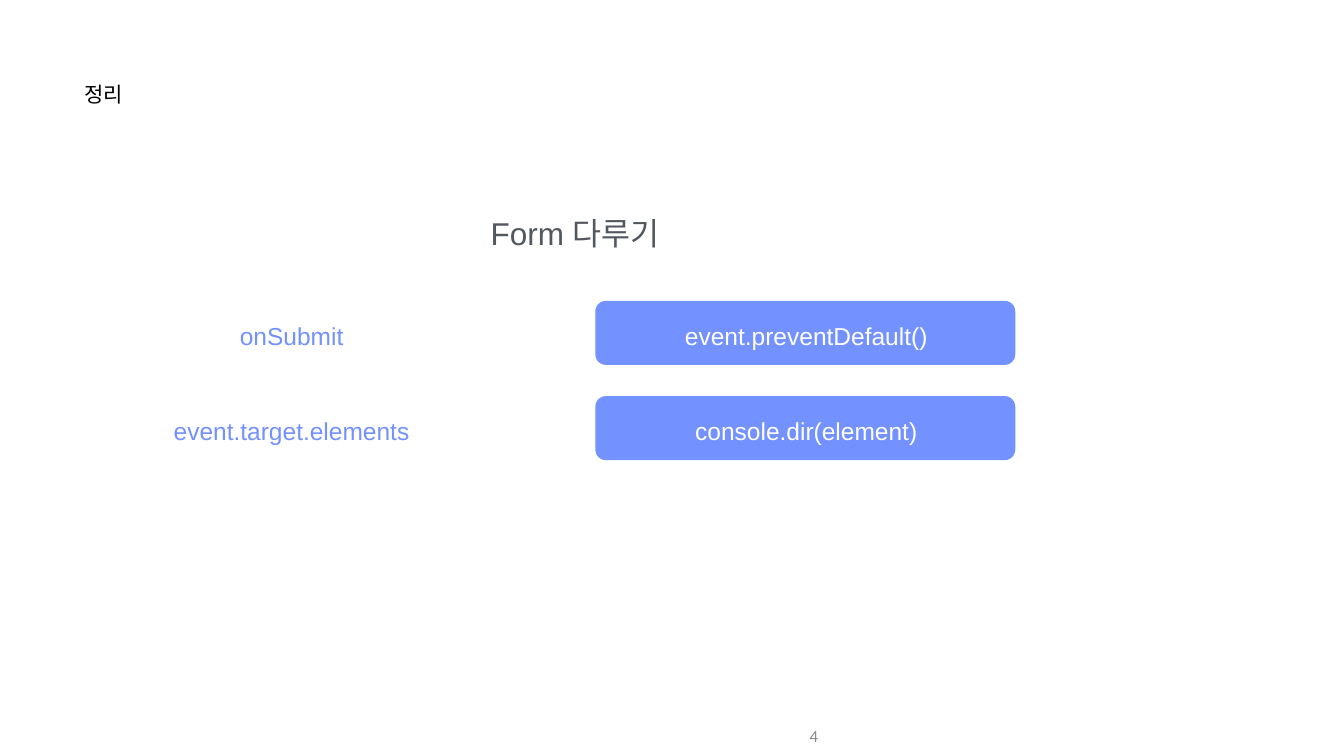
from pptx import Presentation
from pptx.dml.color import RGBColor
from pptx.enum.shapes import MSO_SHAPE
from pptx.enum.text import MSO_ANCHOR, MSO_AUTO_SIZE, PP_ALIGN
from pptx.util import Inches, Pt

ROUNDED = MSO_SHAPE.ROUNDED_RECTANGLE
TOP, MIDDLE = MSO_ANCHOR.TOP, MSO_ANCHOR.MIDDLE
LEFT, CENTER, RIGHT = PP_ALIGN.LEFT, PP_ALIGN.CENTER, PP_ALIGN.RIGHT
NO_AUTOFIT = MSO_AUTO_SIZE.NONE
TITLE_ONLY = 5

BLUE, WHITE, BLACK = "7391FF", "FFFFFF", "000000"
DARK_GRAY, LIGHT_GRAY = "53585F", "888888"

ROWS = [
    ("onSubmit", "event.preventDefault()"),
    ("event.target.elements", "console.dir(element)"),
]
ROW_HEIGHT, ROW_PITCH = 1.27, 1.89
LABEL_WIDTH, BUTTON_WIDTH = 6.25, 8.33


def color(hex_string):
    return RGBColor.from_string(hex_string)


def write(shape, text, size, hex_color, align=CENTER, anchor=MIDDLE,
          font="Arial", insets=(0.01, 0.01, 0.01, 0.01)):
    frame = shape.text_frame
    frame.text = text
    frame.word_wrap = True
    frame.auto_size = NO_AUTOFIT
    frame.vertical_anchor = anchor
    (frame.margin_left, frame.margin_top,
     frame.margin_right, frame.margin_bottom) = map(Inches, insets)
    para = frame.paragraphs[0]
    para.alignment = align
    para.font.name = font
    para.font.size = Pt(size)
    para.font.color.rgb = color(hex_color)


def add_text(page, box, *args, **options):
    write(page.shapes.add_textbox(*map(Inches, box)), *args, **options)


def add_title(page, box, text):
    title = page.shapes.title
    title.left, title.top, title.width, title.height = map(Inches, box)
    write(title, text, 30, BLACK, LEFT, TOP)


def add_button(page, box, text):
    button = page.shapes.add_shape(ROUNDED, *map(Inches, box))
    button.adjustments[0] = 0.164
    button.shadow.inherit = False
    button.fill.solid()
    button.fill.fore_color.rgb = color(BLUE)
    button.line.fill.background()
    # The extra top inset sets the text slightly below the middle
    write(button, text, 35, WHITE, insets=(0.05, 0.12, 0.01, 0.01))


def add_summary(page, box):
    """Heading over rows of a plain label and a filled button."""
    left, top, width, height = box
    add_text(page, (left, top, width, 0.79), "Form 다루기", 45, DARK_GRAY, anchor=TOP)
    first_row = top + height - ROW_PITCH * (len(ROWS) - 1) - ROW_HEIGHT
    button_left = left + width - BUTTON_WIDTH - 0.04
    for index, (label, call) in enumerate(ROWS):
        row_top = first_row + index * ROW_PITCH
        add_text(page, (left + 0.02, row_top + 0.38, LABEL_WIDTH, 0.62),
                 label, 35, BLUE)
        add_button(page, (button_left, row_top, BUTTON_WIDTH, ROW_HEIGHT), call)


def add_page_number(page, box, number):
    add_text(page, box, str(number), 24, LIGHT_GRAY, RIGHT,
             font="Calibri", insets=(0.1, 0.05, 0.1, 0.05))


def main():
    deck = Presentation()
    deck.slide_width, deck.slide_height = Inches(26.66), Inches(15)
    page = deck.slides.add_slide(deck.slide_layouts[TITLE_ONLY])
    add_title(page, (1.67, 1.6, 4.86, 1.18), "정리")
    add_summary(page, (2.64, 4.24, 17.54, 4.89))
    add_page_number(page, (10.33, 14.21, 6, 0.79), 4)
    deck.save("out.pptx")


if __name__ == "__main__":
    main()
